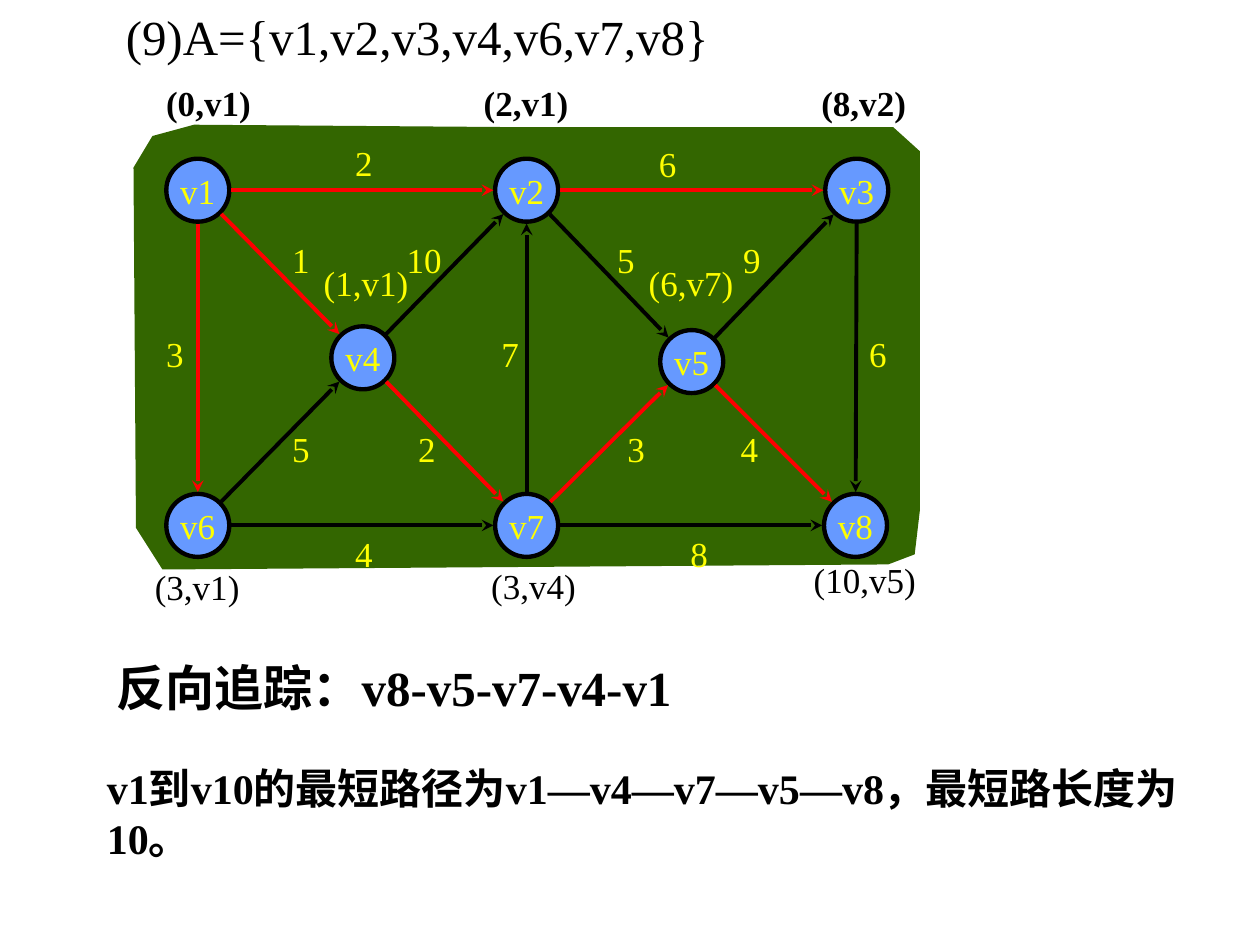
from math import hypot

from lxml.etree import SubElement
from pptx import Presentation
from pptx.dml.color import RGBColor
from pptx.enum.shapes import MSO_CONNECTOR, MSO_SHAPE
from pptx.enum.text import MSO_ANCHOR, MSO_AUTO_SIZE, PP_ALIGN
from pptx.oxml.ns import qn
from pptx.util import Inches, Pt

BLACK, YELLOW, RED, GREEN, BLUE = "000000", "FFFF00", "FF0000", "336600", "6699FF"

PANEL = [(1.54, 0.99), (4.17, 1.01), (7.09, 1.01), (7.3, 1.2), (7.3, 4.06), (7.26, 4.4),
         (7.05, 4.48), (1.29, 4.52), (1.08, 4.19), (1.06, 1.33), (1.21, 1.08)]

NODES = {
    "v1": (1.57, 1.51), "v2": (4.18, 1.51), "v3": (6.8, 1.51),
    "v4": (2.88, 2.84), "v5": (5.49, 2.87),
    "v6": (1.57, 4.17), "v7": (4.18, 4.17), "v8": (6.79, 4.17),
}

EDGES = [
    ("v1", "v2", RED, "2", 2.72, 1.07), ("v2", "v3", RED, "6", 5.13, 1.08),
    ("v1", "v6", RED, "3", 1.22, 2.59), ("v6", "v7", BLACK, "4", 2.72, 4.18),
    ("v7", "v8", BLACK, "8", 5.38, 4.18), ("v3", "v8", BLACK, "6", 6.8, 2.59),
    ("v1", "v4", RED, "1", 2.22, 1.84), ("v4", "v7", RED, "2", 3.22, 3.34),
    ("v6", "v4", BLACK, "5", 2.22, 3.34), ("v4", "v2", BLACK, "10", 3.13, 1.84),
    ("v7", "v2", BLACK, "7", 3.88, 2.59), ("v2", "v5", BLACK, "5", 4.8, 1.84),
    ("v5", "v3", BLACK, "9", 5.8, 1.84), ("v5", "v8", RED, "4", 5.78, 3.34),
    ("v7", "v5", RED, "3", 4.88, 3.34),
]

DISTANCES = [
    ("(0,v1)", 1.22, 0.6, 0.94, BLACK, True), ("(2,v1)", 3.74, 0.6, 1.1, BLACK, True),
    ("(8,v2)", 6.42, 0.6, 1.06, BLACK, True), ("(1,v1)", 2.47, 2.03, 1.12, YELLOW, False),
    ("(6,v7)", 5.05, 2.03, 0.89, YELLOW, False), ("(3,v1)", 1.13, 4.44, 0.92, BLACK, False),
    ("(3,v4)", 3.8, 4.43, 1.05, BLACK, False), ("(10,v5)", 6.36, 4.38, 1.16, BLACK, False),
]


def rgb(value):
    return RGBColor.from_string(value)


def write(tf, text, size=20, color=BLACK, bold=False, align=PP_ALIGN.LEFT):
    p = tf.paragraphs[0]
    p.alignment = align
    r = p.add_run()
    r.text = text
    r.font.name = "Times New Roman"
    r.font.size = Pt(size)
    r.font.bold = bold
    r.font.color.rgb = rgb(color)


class GraphSlide:
    """Draws a weighted directed graph and its captions on one slide."""

    diameter = 0.5
    gap = 0.265

    def __init__(self, s):
        self.s = s

    def panel(self, points, color):
        corners = [(Inches(x), Inches(y)) for x, y in points]
        builder = self.s.shapes.build_freeform(*corners[0])
        builder.add_line_segments(corners[1:], close=True)
        sp = builder.convert_to_shape()
        sp.shadow.inherit = False
        sp.fill.solid()
        sp.fill.fore_color.rgb = rgb(color)
        sp.line.fill.background()

    def node(self, name, x, y):
        d, radius = self.diameter, self.diameter / 2
        sp = self.s.shapes.add_shape(MSO_SHAPE.OVAL, Inches(x - radius), Inches(y - radius),
                                     Inches(d), Inches(d))
        sp.shadow.inherit = False
        sp.fill.solid()
        sp.fill.fore_color.rgb = rgb(BLUE)
        sp.line.color.rgb = rgb(BLACK)
        sp.line.width = Pt(2.5)
        tf = sp.text_frame
        tf.word_wrap = False
        tf.vertical_anchor = MSO_ANCHOR.MIDDLE
        write(tf, name, color=YELLOW, align=PP_ALIGN.CENTER)

    def edge(self, start, end, color):
        (x1, y1), (x2, y2) = start, end
        length = hypot(x2 - x1, y2 - y1)
        dx, dy = self.gap * (x2 - x1) / length, self.gap * (y2 - y1) / length
        sp = self.s.shapes.add_connector(MSO_CONNECTOR.STRAIGHT, Inches(x1 + dx), Inches(y1 + dy),
                                         Inches(x2 - dx), Inches(y2 - dy))
        sp.line.color.rgb = rgb(color)
        sp.line.width = Pt(2.25)
        SubElement(sp.line._get_or_add_ln(), qn("a:tailEnd"), type="stealth")
        SubElement(sp._element.spPr, qn("a:effectLst"))

    def text(self, text, x, y, w, h=0.44, **style):
        sp = self.s.shapes.add_textbox(Inches(x), Inches(y), Inches(w), Inches(h))
        tf = sp.text_frame
        tf.word_wrap = True
        tf.auto_size = MSO_AUTO_SIZE.SHAPE_TO_FIT_TEXT
        write(tf, text, **style)


def main():
    prs = Presentation()
    prs.slide_width, prs.slide_height = Inches(10), Inches(7.5)
    graph = GraphSlide(prs.slides.add_slide(prs.slide_layouts[6]))

    graph.panel(PANEL, GREEN)
    for name, (x, y) in NODES.items():
        graph.node(name, x, y)
    for start, end, color, *_ in EDGES:
        graph.edge(NODES[start], NODES[end], color)
    for *_, weight, x, y in EDGES:
        graph.text(weight, x, y, 0.42 if len(weight) == 1 else 0.5, color=YELLOW)
    for label, x, y, w, color, bold in DISTANCES:
        graph.text(label, x, y, w, color=color, bold=bold)

    graph.text("(9)A={v1,v2,v3,v4,v6,v7,v8}", 0.9, 0, 8, 0.57, size=28)
    graph.text("反向追踪：v8-v5-v7-v4-v1", 0.83, 5.17, 7.95, 0.57, size=28, bold=True)
    graph.text("v1到v10的最短路径为v1—v4—v7—v5—v8，最短路长度为10。",
               0.75, 6, 9.25, 0.9, size=24, bold=True)
    prs.save("out.pptx")


if __name__ == "__main__":
    main()
